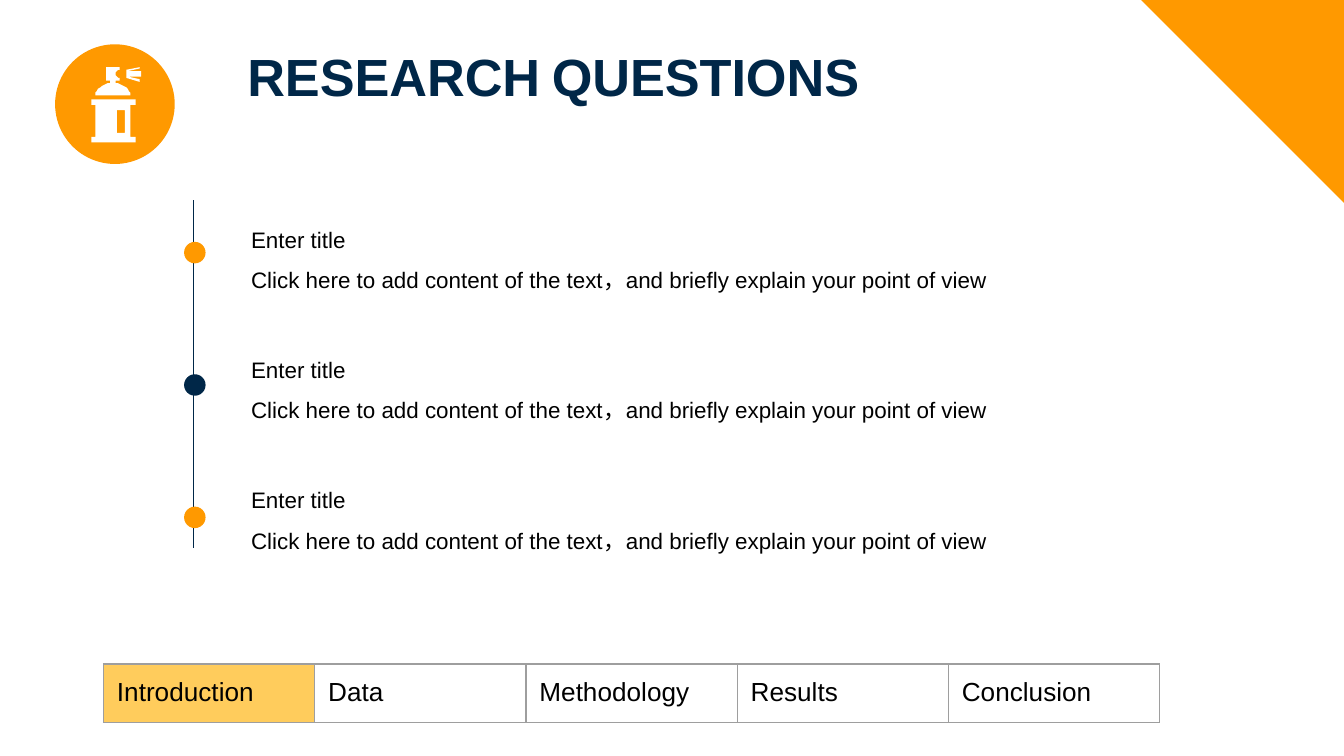
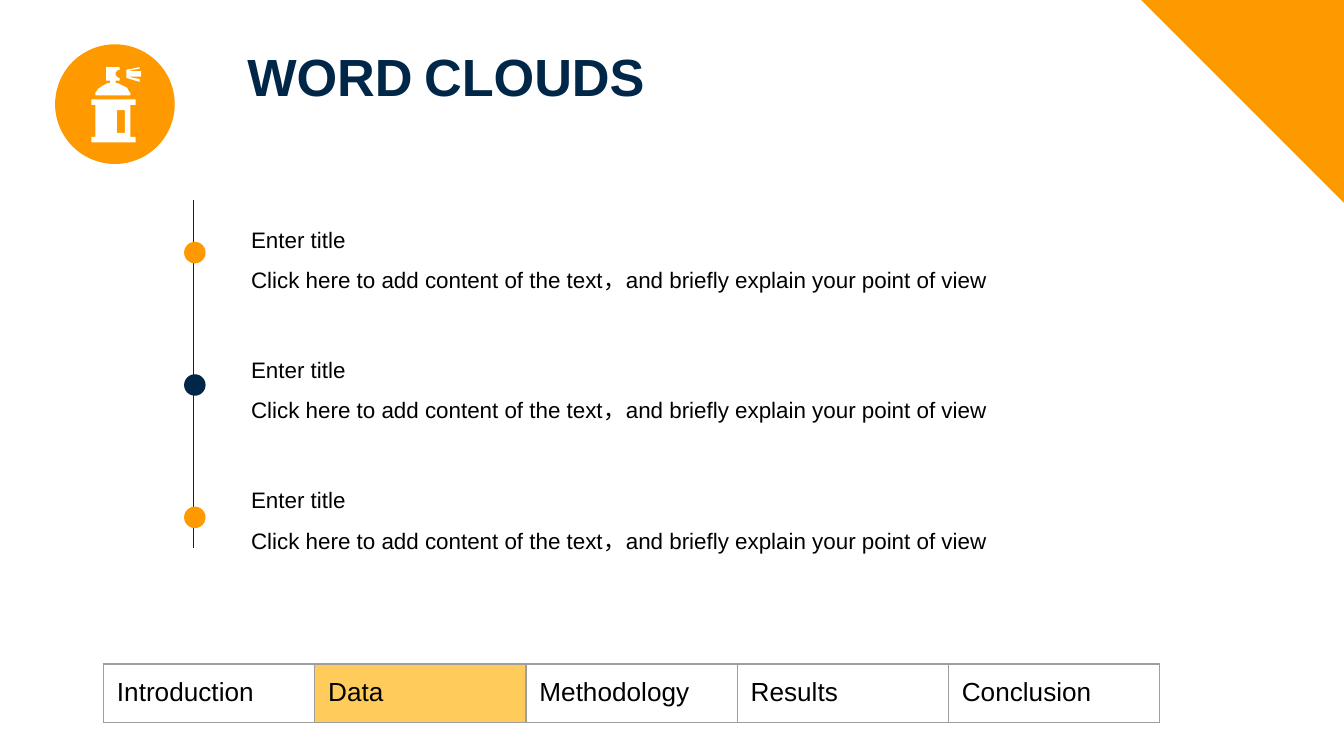
from lxml import etree
from pptx import Presentation
from pptx.dml.color import RGBColor
from pptx.enum.shapes import MSO_CONNECTOR, MSO_SHAPE
from pptx.enum.text import MSO_ANCHOR, MSO_AUTO_SIZE, PP_ALIGN
from pptx.oxml.ns import qn
from pptx.util import Inches, Pt

OVAL = MSO_SHAPE.OVAL
TRIANGLE = MSO_SHAPE.RIGHT_TRIANGLE
STRAIGHT = MSO_CONNECTOR.STRAIGHT
TOP = MSO_ANCHOR.TOP
LEFT = PP_ALIGN.LEFT
NO_AUTOFIT = MSO_AUTO_SIZE.NONE

ORANGE = RGBColor(0xFF, 0x99, 0x00)
NAVY = RGBColor(0x00, 0x27, 0x48)
AMBER = RGBColor(0xFF, 0xCC, 0x5C)
GREY = RGBColor(0x9E, 0x9E, 0x9E)
WHITE = RGBColor(0xFF, 0xFF, 0xFF)
BLACK = RGBColor(0x00, 0x00, 0x00)
FONT = "Arial"

TITLES = ["RESEARCH QUESTIONS", "WORD CLOUDS"]
SECTIONS = ["Introduction", "Data", "Methodology", "Results", "Conclusion"]
POINT = "Enter title\vClick here to add content of the text，and briefly explain your point of view"
DOT_COLORS = [ORANGE, NAVY, ORANGE]

CAN_BODY = [(97, 78), (97, 102), (101, 102), (101, 106), (68, 106), (68, 102),
            (71, 102), (71, 78), (68, 78), (68, 74), (101, 74), (101, 78)]
CAN_WINDOW = [(93, 82), (87, 82), (87, 99), (93, 99)]
CAN_SPRAY = [(104, 59), (95, 57), (105, 57), (105, 53), (95, 53), (104, 51),
             (104, 50), (94, 52), (94, 58), (104, 61)]
CAN_HEAD = [(86, 60), (86, 62), (88, 62), (90, 63), (92, 64), (94, 65), (95, 66),
            (96, 68), (97, 69), (97, 71), (71, 71), (71, 69), (72, 68), (73, 66),
            (75, 65), (76, 64), (78, 63), (80, 62), (82, 62), (82, 60), (79, 60),
            (79, 50), (89, 50), (89, 52), (88, 52), (87, 53), (86, 54), (86, 56),
            (87, 57), (88, 58), (89, 58), (89, 60)]
SPRAY_CAN = [CAN_BODY, CAN_WINDOW, CAN_SPRAY, CAN_HEAD]


class Deck:
    def __init__(self):
        self.prs = Presentation()
        self.prs.slide_width = Inches(10)
        self.prs.slide_height = Inches(10 * 9 / 16)
        self.s = None

    def new_slide(self):
        self.s = self.prs.slides.add_slide(self.prs.slide_layouts[5])

    def paint(self, sp, color):
        sp.shadow.inherit = False
        sp.fill.solid()
        sp.fill.fore_color.rgb = color
        sp.line.fill.background()

    def style(self, p, size, color, bold=False):
        p.font.name = FONT
        p.font.size = Pt(size)
        p.font.bold = bold
        p.font.color.rgb = color
        p.alignment = LEFT

    def shape(self, shapes, kind, x, y, size, color, rotation=0):
        sp = shapes.add_shape(kind, Inches(x), Inches(y), Inches(size), Inches(size))
        sp.rotation = rotation
        self.paint(sp, color)

    def badge(self):
        shapes = self.s.shapes.add_group_shape().shapes
        self.shape(shapes, OVAL, 0.41, 0.33, 0.89, ORANGE)
        first, *others = SPRAY_CAN
        outline = shapes.build_freeform(*first[0], scale=Inches(0.01))
        outline.add_line_segments(first[1:], close=True)
        for contour in others:
            outline.move_to(*contour[0])
            outline.add_line_segments(contour[1:], close=True)
        self.paint(outline.convert_to_shape(), WHITE)

    def corner(self):
        self.shape(self.s.shapes, TRIANGLE, 8.48, -0.01, 1.54, ORANGE, rotation=180)

    def title(self, text):
        sp = self.s.shapes.title
        sp.left, sp.top = Inches(1.78), Inches(0.3)
        sp.width, sp.height = Inches(5.97), Inches(0.6)
        tf = sp.text_frame
        tf.auto_size = NO_AUTOFIT
        tf.vertical_anchor = TOP
        tf.margin_left = tf.margin_right = Inches(0.06)
        tf.margin_top = tf.margin_bottom = Inches(0.03)
        p = tf.paragraphs[0]
        p.text = text
        self.style(p, 28, NAVY, bold=True)
        p.font._rPr.set("cap", "small")

    def line(self, x, top, bottom):
        c = self.s.shapes.add_connector(
            STRAIGHT, Inches(x), Inches(top), Inches(x), Inches(bottom))
        c.line.color.rgb = NAVY
        c.line.width = Pt(0.75)
        etree.SubElement(c.element.spPr, qn("a:effectLst"))

    def text(self, text, x, y, w, h):
        sp = self.s.shapes.add_textbox(Inches(x), Inches(y), Inches(w), Inches(h))
        tf = sp.text_frame
        tf.word_wrap = True
        tf.vertical_anchor = TOP
        p = tf.paragraphs[0]
        p.text = text
        p.line_spacing = 1.5
        self.style(p, 12, BLACK)

    def timeline(self):
        self.line(1.44, 1.49, 4.08)
        for i, color in enumerate(DOT_COLORS):
            self.shape(self.s.shapes, OVAL, 1.37, 1.8 + i * 0.985, 0.16, color)
        for i in range(len(DOT_COLORS)):
            self.text(POINT, 1.77, 1.53 + i * 0.97, 6.87, 1.01)

    def border(self, cell):
        tc_pr = cell.fill._xPr
        for i, side in enumerate(("a:lnL", "a:lnR", "a:lnT", "a:lnB")):
            ln = etree.Element(qn(side), w=str(Pt(0.75)))
            fill = etree.SubElement(ln, qn("a:solidFill"))
            etree.SubElement(fill, qn("a:srgbClr"), val=str(GREY))
            tc_pr.insert(i, ln)

    def section_bar(self, current):
        table = self.s.shapes.add_table(
            1, len(SECTIONS), Inches(0.77), Inches(4.94), Inches(7.86), Inches(0.43)).table
        table.first_row = table.horz_banding = False
        table.rows[0].height = Inches(0.32)
        for i, section in enumerate(SECTIONS):
            cell = table.cell(0, i)
            cell.margin_left = cell.margin_right = Inches(0.1)
            cell.margin_top = cell.margin_bottom = Inches(0.1)
            cell.fill.solid()
            cell.fill.fore_color.rgb = AMBER if i == current else WHITE
            p = cell.text_frame.paragraphs[0]
            p.text = section
            self.style(p, 14, BLACK)
            self.border(cell)


def main():
    deck = Deck()
    for i, title in enumerate(TITLES):
        deck.new_slide()
        deck.badge()
        deck.corner()
        deck.title(title)
        deck.timeline()
        deck.section_bar(i)
    deck.prs.save("out.pptx")


if __name__ == "__main__":
    main()
